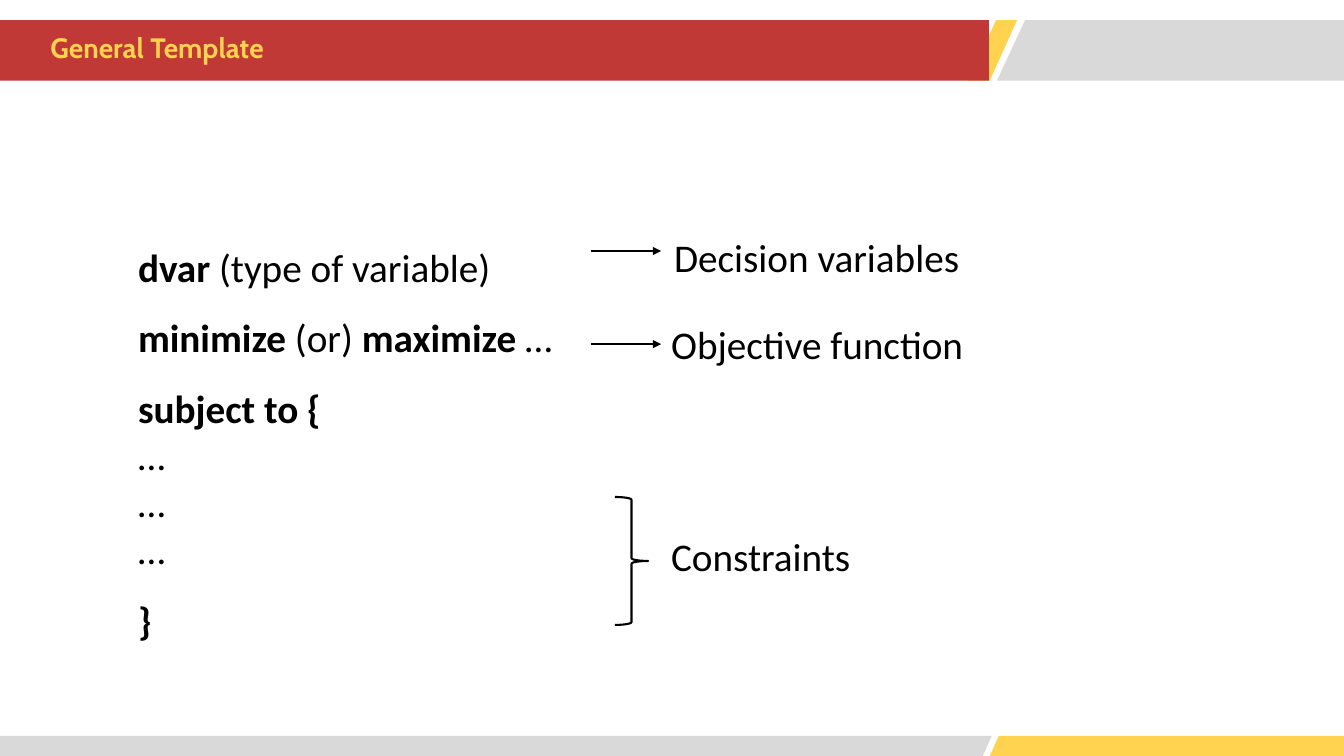
from lxml import etree
from pptx import Presentation
from pptx import util as u
from pptx.dml.color import RGBColor
from pptx.enum import shapes, text
from pptx.oxml.ns import qn

Pt = u.Pt


def color(hex_string):
    return RGBColor.from_string(hex_string)


def add_run(paragraph, words, bold=False, size=28, font="Calibri", fill="000000"):
    run = paragraph.add_run()
    run.text = words
    run.font.name = font
    run.font.size = Pt(size)
    run.font.bold = bold
    run.font.color.rgb = color(fill)


presentation = Presentation()
presentation.slide_width = Pt(960)
presentation.slide_height = Pt(540)
slide = presentation.slides.add_slide(presentation.slide_layouts[1])

header_top, header_bottom = 14.4, 57.6
footer_top, footer_bottom = 525.6, 540
bands = [
    (footer_top, footer_bottom, 0, 708.5, 702, 0, "D9D9D9"),
    (footer_top, footer_bottom, 713.5, 960, 960, 707, "FFD24F"),
    (header_top, header_bottom, 732.2, 960, 960, 712.1, "D9D9D9"),
    (header_top, header_bottom, 711.4, 726.5, 707, 691.9, "FFD24F"),
]
for top, bottom, top_left, top_right, bottom_right, bottom_left, fill in bands:
    builder = slide.shapes.build_freeform(Pt(top_left), Pt(top))
    builder.add_line_segments([
        (Pt(top_right), Pt(top)),
        (Pt(bottom_right), Pt(bottom)),
        (Pt(bottom_left), Pt(bottom)),
    ])
    band = builder.convert_to_shape()
    band.shadow.inherit = False
    band.fill.solid()
    band.fill.fore_color.rgb = color(fill)
    band.line.fill.background()

title = slide.shapes.title
title.element.getparent().append(title.element)
title.left, title.top = Pt(0), Pt(header_top)
title.width, title.height = Pt(706.3), Pt(header_bottom - header_top)
title.fill.solid()
title.fill.fore_color.rgb = color("C13936")
frame = title.text_frame
frame.auto_size = text.MSO_AUTO_SIZE.NONE
frame.vertical_anchor = text.MSO_ANCHOR.MIDDLE
frame.margin_left = Pt(36)
frame.margin_top = frame.margin_right = frame.margin_bottom = 0
paragraph = frame.paragraphs[0]
paragraph.alignment = text.PP_ALIGN.LEFT
paragraph.line_spacing = 0.8
add_run(paragraph, "General Template", True, 20, "Cabin", "FFD24F")

model = slide.placeholders[1]
model.left, model.top, model.width, model.height = Pt(98.6), Pt(173.6), Pt(310), Pt(290)
frame = model.text_frame
frame.auto_size = text.MSO_AUTO_SIZE.NONE
frame.vertical_anchor = text.MSO_ANCHOR.TOP
frame.margin_left = frame.margin_top = frame.margin_right = frame.margin_bottom = 0
model_lines = [
    (1, [("dvar", True), (" (type of variable)", False)]),
    (1.5, [("minimize ", True), ("(or) ", False), ("maximize ", True), ("…", False)]),
    (1.5, [("subject to {", True)]),
    (1, [("…", False)]),
    (1, [("…", False)]),
    (1, [("…", False)]),
    (1.5, [("}", True)]),
]
for index, (spacing, runs) in enumerate(model_lines):
    paragraph = frame.add_paragraph() if index else frame.paragraphs[0]
    paragraph.line_spacing = spacing
    paragraph.space_before = Pt(0)
    properties = paragraph._p.get_or_add_pPr()
    properties.set("marL", "0")
    properties.set("indent", "0")
    etree.SubElement(properties, qn("a:buNone"))
    for words, bold in runs:
        add_run(paragraph, words, bold)

labels = {}
for words, left, top, width in [
    ("Decision variables", 474.5, 163.4, 273.6),
    ("Objective function", 472.3, 225.3, 242.6),
    ("Constraints", 472.3, 376.6, 175),
]:
    label = slide.shapes.add_textbox(Pt(left), Pt(top), Pt(width), Pt(41))
    label.text_frame.word_wrap = True
    add_run(label.text_frame.paragraphs[0], words)
    labels[words] = label

brace = slide.shapes.add_shape(
    shapes.MSO_SHAPE.RIGHT_BRACE, Pt(439.2), Pt(355), Pt(23.8), Pt(91.4))
brace.shadow.inherit = False
brace.fill.background()
brace.line.color.rgb = color("000000")
brace.line.width = Pt(1.5)

for y, target in [(179.3, None), (245.8, labels["Objective function"])]:
    arrow = slide.shapes.add_connector(
        shapes.MSO_CONNECTOR.STRAIGHT, Pt(421.9), Pt(y), Pt(472.3), Pt(y))
    if target:
        arrow.end_connect(target, 1)
    arrow.line.color.rgb = color("000000")
    arrow.line.width = Pt(1.5)
    etree.SubElement(arrow.line._get_or_add_ln(), qn("a:tailEnd"), type="triangle")
    etree.SubElement(arrow.element.spPr, qn("a:effectLst"))

presentation.save("out.pptx")
